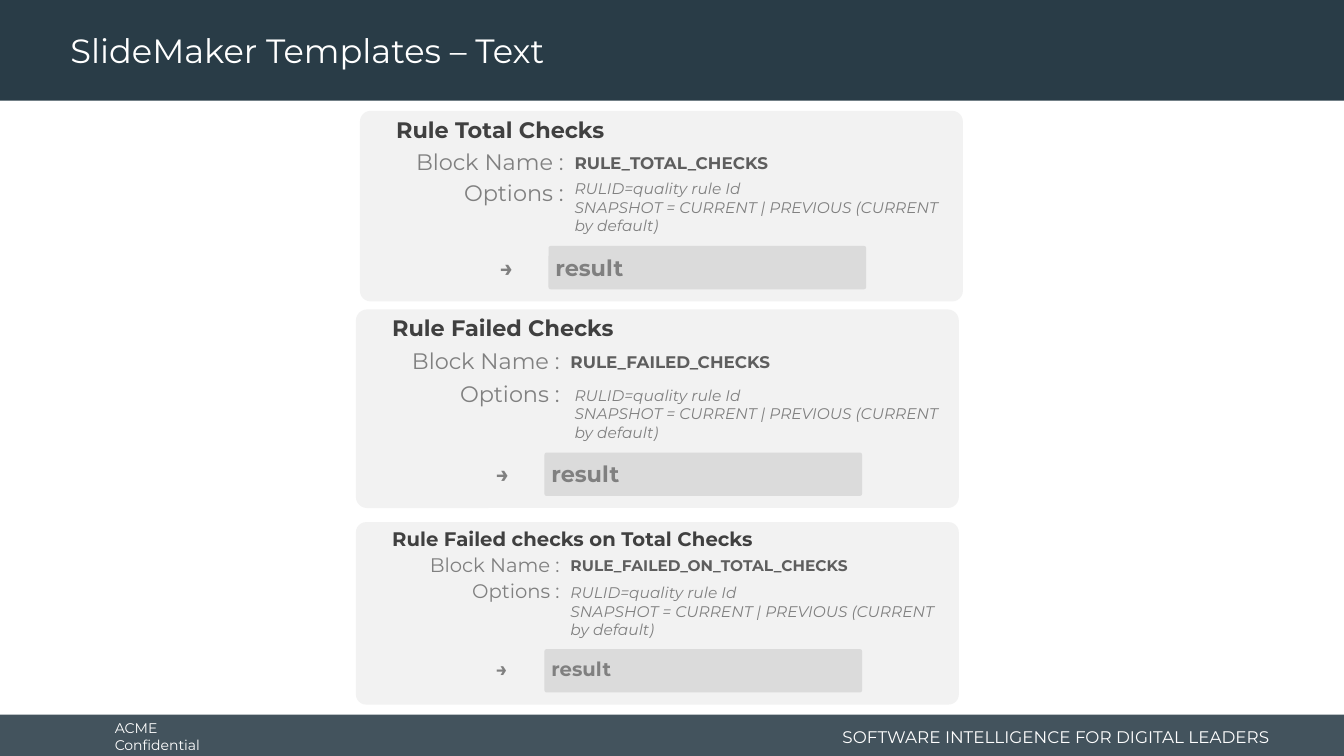
from dataclasses import dataclass

from lxml.etree import SubElement
from pptx import Presentation
from pptx.dml.color import RGBColor
from pptx.enum.shapes import MSO_SHAPE as Shape
from pptx.enum.text import MSO_ANCHOR as Anchor, PP_ALIGN as Align
from pptx.oxml.ns import qn
from pptx.util import Inches, Pt

FONT = "Montserrat"
WHITE, NAVY, PALE, SILVER = "FFFFFF", "293C47", "F2F2F2", "BFBFBF"
DARK, MEDIUM, GRAY = "404040", "5E5E5E", "808080"
OPTIONS = [
    "RULID=quality rule Id",
    "SNAPSHOT = CURRENT | PREVIOUS (CURRENT by default)",
]


@dataclass
class Card:
    title: str
    block: str
    left: float
    top: float
    height: float
    size: int
    block_size: int
    label_top: float
    block_top: float
    options_top: float
    details_left: float
    details_top: float
    result_top: float


CARDS = [
    Card("Rule Total Checks", "RULE_TOTAL_CHECKS", 3.57, 1.1, 1.89, 16, 12,
         0.32, 0.37, 0.63, 2.03, 0.63, 1.34),
    Card("Rule Failed Checks", "RULE_FAILED_CHECKS", 3.53, 3.07, 1.97, 16, 12,
         0.32, 0.37, 0.65, 2.07, 0.71, 1.42),
    Card("Rule Failed checks on Total Checks", "RULE_FAILED_ON_TOTAL_CHECKS",
         3.53, 5.18, 1.81, 14, 11, 0.26, 0.29, 0.51, 2.03, 0.56, 1.26),
]


def color(value):
    return RGBColor.from_string(value)


def add_panel(page, kind, left, top, width, height, fill, opacity=100, corner=None):
    panel = page.shapes.add_shape(
        kind, Inches(left), Inches(top), Inches(width), Inches(height))
    panel.shadow.inherit = False
    panel.fill.solid()
    panel.fill.fore_color.rgb = color(fill)
    panel.line.fill.background()
    if corner is not None:
        panel.adjustments[0] = corner
    if opacity < 100:
        tint = panel._element.spPr.find(qn("a:solidFill"))[0]
        SubElement(tint, qn("a:alpha"), val=str(opacity * 1000))


def add_text(page, lines, left, top, width, height, size, ink, bold=False,
             italic=False, align=Align.LEFT, anchor=Anchor.TOP, wrap=True,
             inset=0.1, spacing=None):
    box = page.shapes.add_textbox(
        Inches(left), Inches(top), Inches(width), Inches(height))
    frame = box.text_frame
    frame.word_wrap = wrap
    frame.vertical_anchor = anchor
    frame.margin_left = frame.margin_right = Inches(inset)
    frame.text = "\n".join(lines)
    for para in frame.paragraphs:
        para.alignment = align
        para.line_spacing = spacing
        font = para.font
        font.name = FONT
        font.size = Pt(size)
        font.bold = bold
        font.italic = italic
        font.color.rgb = color(ink)


def add_label(page, text, card, top, width):
    add_text(page, [text], card.left + 2.12 - width, card.top + top, width, 0.37,
             card.size, GRAY, align=Align.RIGHT, wrap=False)


def add_card(page, card):
    left, top, size = card.left, card.top, card.size
    result_top = top + card.result_top
    add_panel(page, Shape.ROUNDED_RECTANGLE, left, top, 5.98, card.height, PALE,
              corner=0.056)
    add_text(page, [card.title], left + 0.16, top, 5.82, 0.37, size, DARK,
             bold=True, inset=0.2)
    add_label(page, "Block Name :", card, card.label_top, 1.67 if size == 16 else 1.49)
    add_text(page, [card.block], left + 2.03, top + card.block_top, 4.11, 0.3,
             card.block_size, MEDIUM, bold=True)
    add_label(page, "Options :", card, card.options_top, 1.21 if size == 16 else 1.08)
    add_text(page, OPTIONS, left + card.details_left, top + card.details_top,
             3.9, 0.66, 11, GRAY, italic=True)
    add_text(page, ["→"], left + 1.29, result_top + 0.03, 0.48, 0.44, size, GRAY,
             bold=True)
    add_panel(page, Shape.ROUNDED_RECTANGLE, left + 1.87, result_top, 3.15, 0.43,
              SILVER, opacity=45, corner=0.049)
    add_text(page, ["result"], left + 1.84, result_top + 0.03, 2.99, 0.44, size,
             GRAY, bold=True)


def add_frame(page):
    add_panel(page, Shape.RECTANGLE, 0, 7.09, 13.33, 0.41, NAVY, opacity=88)
    add_panel(page, Shape.RECTANGLE, 0, 0, 13.33, 1, NAVY)
    add_text(page, ["ACME Confidential"], 1.04, 7.11, 1.48, 0.4, 10, WHITE,
             anchor=Anchor.MIDDLE, wrap=False)
    add_text(page, ["SOFTWARE INTELLIGENCE FOR DIGITAL LEADERS"], 8.11, 7.15,
             4.58, 0.32, 12, WHITE, align=Align.RIGHT, anchor=Anchor.MIDDLE)
    add_text(page, ["SlideMaker Templates – Text"], 0.6, 0.04, 9.58, 0.96, 24,
             WHITE, anchor=Anchor.MIDDLE, spacing=0.9)


def main():
    deck = Presentation()
    deck.slide_width, deck.slide_height = Inches(13.33), Inches(7.5)
    page = deck.slides.add_slide(deck.slide_layouts[6])
    add_frame(page)
    for card in CARDS:
        add_card(page, card)
    deck.save("out.pptx")


if __name__ == "__main__":
    main()
